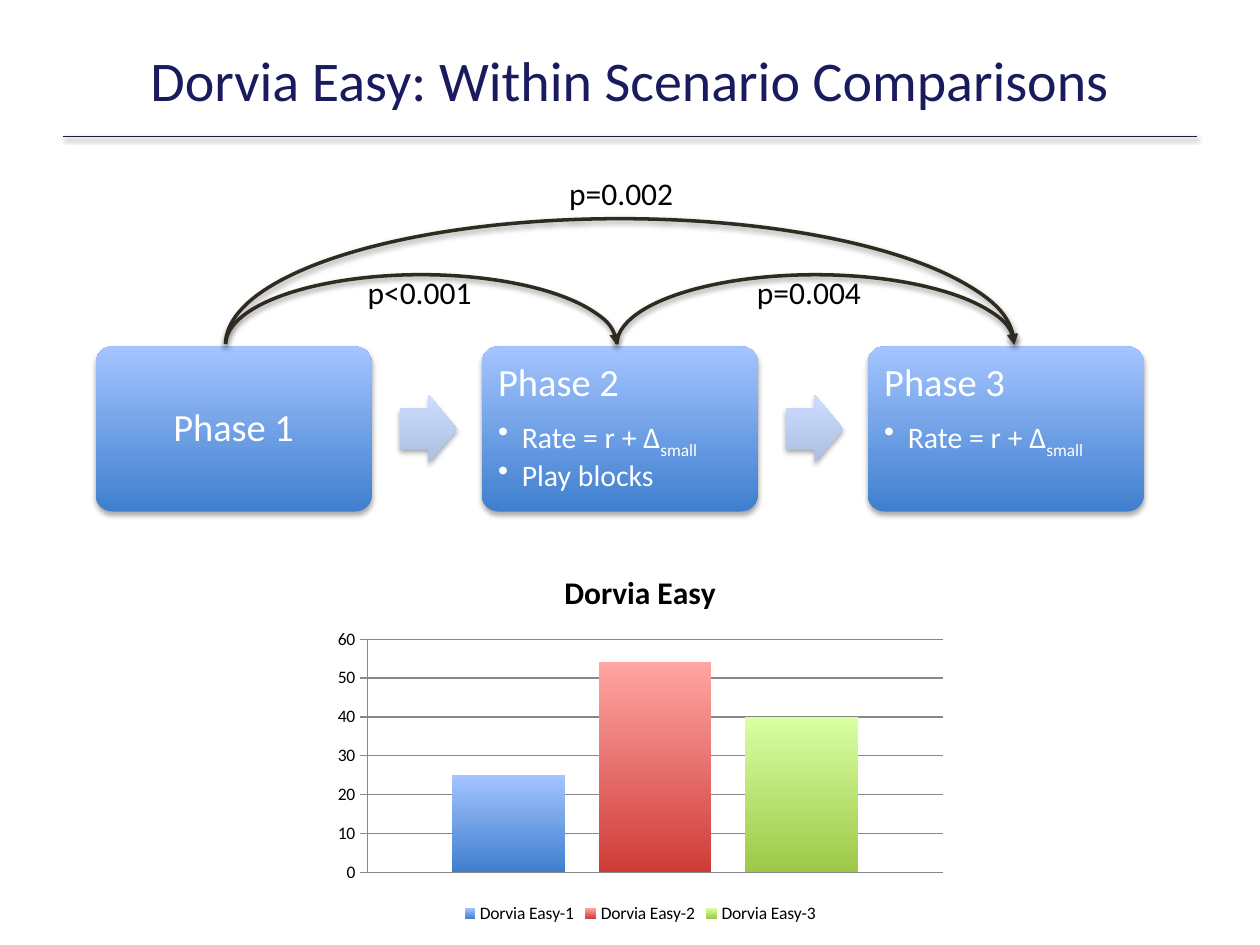
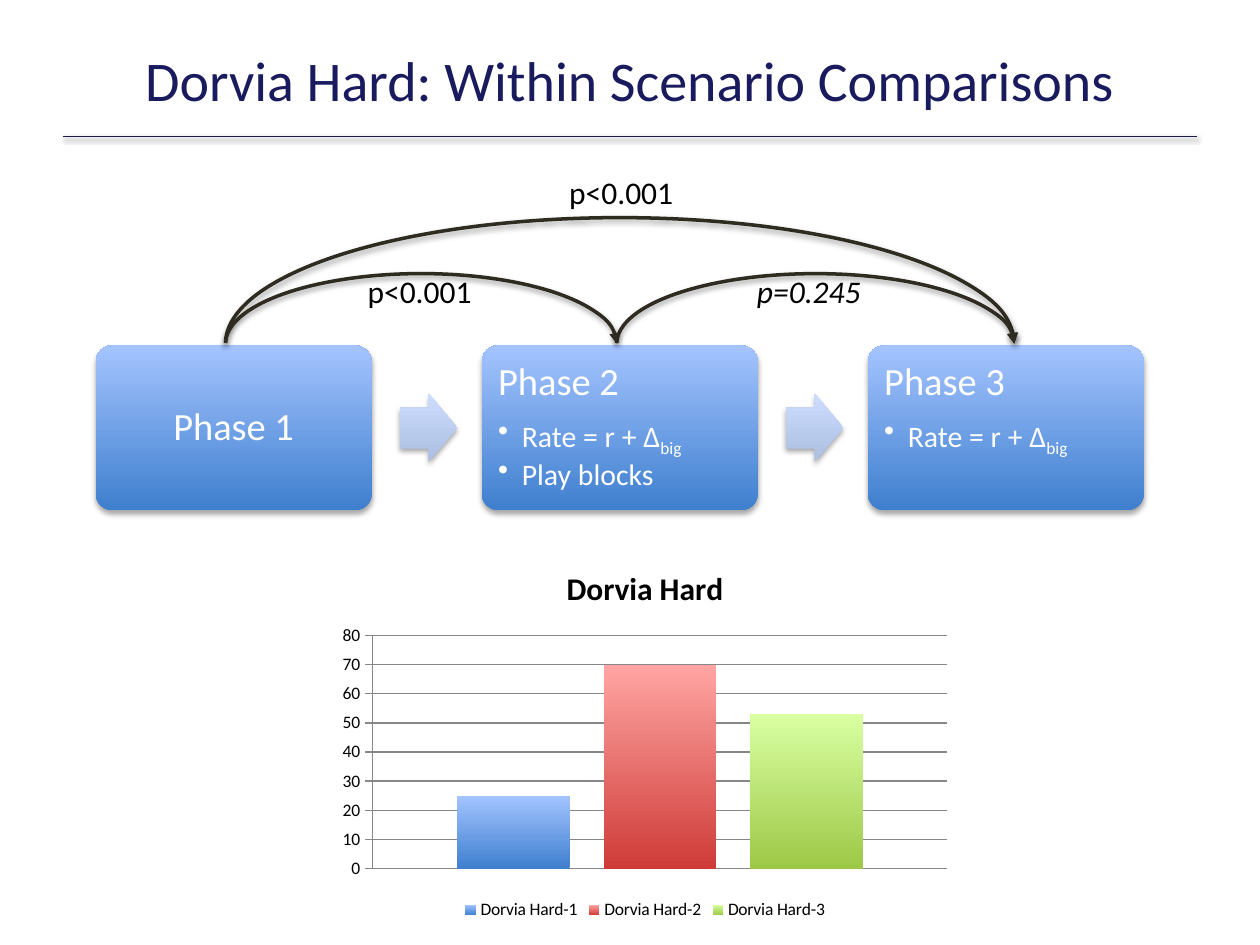
import pptx
import pptx.chart.data
import pptx.dml.color
import pptx.enum.chart
import pptx.enum.shapes
import pptx.enum.text
import pptx.oxml.ns
import pptx.util
from lxml import etree

Pt = pptx.util.Pt
RGBColor = pptx.dml.color.RGBColor
Shapes = pptx.enum.shapes.MSO_SHAPE
Anchor = pptx.enum.text.MSO_ANCHOR
Align = pptx.enum.text.PP_ALIGN
qn = pptx.oxml.ns.qn

FONT = "Calibri"
NAVY = RGBColor(0x19, 0x1B, 0x5E)
RULE = RGBColor(0x1A, 0x1C, 0x47)
INK = RGBColor(0x2F, 0x2B, 0x20)
BLACK = RGBColor(0, 0, 0)
WHITE = RGBColor(255, 255, 255)
GREY = RGBColor(0x87, 0x87, 0x87)
BLUE = (RGBColor(0x3F, 0x7F, 0xCE), RGBColor(0xA4, 0xC4, 0xFF))
PALE = (RGBColor(0xAD, 0xBF, 0xE1), RGBColor(0xCC, 0xDD, 0xFF))
RED = (RGBColor(0xCF, 0x3C, 0x38), RGBColor(0xFF, 0xA5, 0xA3))
GREEN = (RGBColor(0x9D, 0xC8, 0x47), RGBColor(0xD9, 0xFF, 0xA2))

PHASE_SIZE = (157.7, 94.3)
PHASE_STEP = 220.6
STEP_ARROW = (33, 39)
ARC_FEET = (74.2, 297.7, 524.9)
ARCS = ((0, 2, 144, 263.5, -102.2), (1, 2, 80, 370.8, -45.4), (0, 1, 80, 148.3, -45.4))


def add_text(para, text, size=18, color=BLACK, italic=None, baseline=None):
    """Append one formatted span to a paragraph."""
    span = para.add_run()
    span.text = text
    span.font.name = FONT
    span.font.size = Pt(size)
    span.font.color.rgb = color
    span.font.italic = italic
    if baseline is not None:
        span._r.get_or_add_rPr().set("baseline", str(baseline * 1000))


def add_shadow(shape, distance=1.8, opacity=35):
    """Give a shape a soft shadow straight below it."""
    effects = etree.SubElement(shape._element.spPr, qn("a:effectLst"))
    shadow = etree.SubElement(effects, qn("a:outerShdw"), blurRad=str(Pt(3.1)),
                              dist=str(Pt(distance)), dir="5400000", rotWithShape="0")
    color = etree.SubElement(shadow, qn("a:srgbClr"), val="000000")
    etree.SubElement(color, qn("a:alpha"), val=str(opacity * 1000))


def fill_gradient(fill, colors):
    """Fill from the first colour at the bottom to the second at the top."""
    fill.gradient()
    fill.gradient_angle = 90
    for stop, color, position in zip(fill.gradient_stops, colors, (0, 1)):
        stop.color.rgb = color
        stop.position = position


def add_block(page, kind, left, top, size, colors, adjustments):
    """Add a gradient preset shape with a shadow and no outline."""
    block = page.shapes.add_shape(kind, Pt(left), Pt(top), Pt(size[0]), Pt(size[1]))
    for index, value in enumerate(adjustments):
        block.adjustments[index] = value
    fill_gradient(block.fill, colors)
    block.line.fill.background()
    add_shadow(block)
    return block


def add_title(page, text):
    """Place the slide title and the rule below it."""
    rule = page.shapes.add_connector(pptx.enum.shapes.MSO_CONNECTOR.STRAIGHT,
                                     Pt(36), Pt(78), Pt(684), Pt(78))
    rule.line.color.rgb = RULE
    rule.line.width = Pt(0.25)
    add_shadow(rule, 1.6, 38)
    title = page.shapes.title
    title.left, title.top, title.width, title.height = Pt(36), Pt(12.2), Pt(648), Pt(66)
    title.text_frame.vertical_anchor = Anchor.MIDDLE
    para = title.text_frame.paragraphs[0]
    para.alignment = Align.CENTER
    add_text(para, text, size=32, color=NAVY)


def add_bullet(frame, text, subscript=None):
    """Add a bulleted line, optionally ending in a subscript."""
    para = frame.add_paragraph()
    para.level = 1
    para.alignment = Align.LEFT
    properties = para._p.get_or_add_pPr()
    properties.set("marL", str(Pt(13.5)))
    properties.set("indent", str(-Pt(13.5)))
    etree.SubElement(properties, qn("a:buChar"), char="•")
    para.line_spacing = 0.9
    para.space_after = Pt(2.6)
    add_text(para, text, size=17, color=WHITE)
    if subscript:
        add_text(para, subscript, size=17, color=WHITE, baseline=-25)


def add_phase(page, left, top, heading, bullets):
    """Draw one phase; a phase without bullets has a centred heading."""
    block = add_block(page, Shapes.ROUNDED_RECTANGLE, left, top, PHASE_SIZE, BLUE, [0.1])
    frame = block.text_frame
    frame.word_wrap = True
    frame.margin_left = frame.margin_right = Pt(6.6)
    frame.margin_top = frame.margin_bottom = Pt(6.6)
    frame.vertical_anchor = Anchor.TOP if bullets else Anchor.MIDDLE
    para = frame.paragraphs[0]
    para.alignment = Align.LEFT if bullets else Align.CENTER
    para.line_spacing = 0.9
    if bullets:
        para.space_after = Pt(8.5)
    add_text(para, heading, size=22, color=WHITE)
    for bullet in bullets:
        add_bullet(frame, *bullet)


def add_phases(page, left, top, delta):
    """Draw the three phases with an arrow in each gap."""
    rate = ("Rate = r + Δ", delta)
    bullet_lists = ([], [rate, ("Play blocks",)], [rate])
    for index, bullets in enumerate(bullet_lists):
        phase_left = left + index * PHASE_STEP
        if index:
            gap = PHASE_STEP - PHASE_SIZE[0]
            add_block(page, Shapes.RIGHT_ARROW, phase_left - gap + 16,
                      top + (PHASE_SIZE[1] - STEP_ARROW[1]) / 2, STEP_ARROW, PALE, [0.6, 0.5])
        add_phase(page, phase_left, top, f"Phase {index + 1}", bullets)


def add_comparisons(page, left, top, labels):
    """Draw labelled arcs between the tops of the phases."""
    for (start, end, height, label_left, label_top), (text, italic) in zip(ARCS, labels):
        width = ARC_FEET[end] - ARC_FEET[start]
        arc = page.shapes.add_shape(Shapes.ARC, Pt(left + ARC_FEET[start]),
                                    Pt(top - 1 - height / 2), Pt(width), Pt(height))
        arc.adjustments[0], arc.adjustments[1] = 108.1, 0
        arc.fill.background()
        arc.line.color.rgb = INK
        arc.line.width = Pt(2)
        etree.SubElement(arc.line._get_or_add_ln(), qn("a:tailEnd"), type="triangle")
        add_shadow(arc, 1.6, 38)
        box = page.shapes.add_textbox(Pt(left + label_left), Pt(top + label_top), Pt(75), Pt(51))
        box.text_frame.word_wrap = False
        add_text(box.text_frame.paragraphs[0], text, italic=italic)


def add_result_chart(page, left, top, name, values, maximum):
    """Add the column chart with one series per phase."""
    data = pptx.chart.data.CategoryChartData()
    data.categories = ["1"]
    for number, value in enumerate(values, 1):
        data.add_series(f"{name}-{number}", [value])
    chart = page.shapes.add_chart(pptx.enum.chart.XL_CHART_TYPE.COLUMN_CLUSTERED,
                                  Pt(left), Pt(top), Pt(360), Pt(216), data).chart
    chart.font.name = FONT
    chart.font.size = Pt(10)
    chart.font.color.rgb = BLACK
    chart.has_title = True
    para = chart.chart_title.text_frame.paragraphs[0]
    add_text(para, name)
    para.runs[0].font.bold = True
    chart.has_legend = True
    chart.legend.position = pptx.enum.chart.XL_LEGEND_POSITION.BOTTOM
    chart.legend.include_in_layout = False
    chart.category_axis.visible = False
    axis = chart.value_axis
    axis.minimum_scale, axis.maximum_scale, axis.major_unit = 0, maximum, 10
    axis.major_tick_mark = pptx.enum.chart.XL_TICK_MARK.OUTSIDE
    axis.format.line.color.rgb = GREY
    axis.major_gridlines.format.line.color.rgb = GREY
    plot = chart.plots[0]
    plot.gap_width = 150
    plot.overlap = -30
    plot.vary_by_categories = False
    for series, colors in zip(plot.series, (BLUE, RED, GREEN)):
        fill_gradient(series.format.fill, colors)


def add_scenario(deck, name, delta, labels, values, maximum, diagram_top, chart_at):
    """Build one slide comparing the phases of a scenario."""
    page = deck.slides.add_slide(deck.slide_layouts[5])
    add_title(page, f"{name}: Within Scenario Comparisons")
    add_phases(page, 54.7, diagram_top, delta)
    add_comparisons(page, 54.7, diagram_top, labels)
    add_result_chart(page, *chart_at, name, values, maximum)


def main():
    """Build and save the deck."""
    deck = pptx.Presentation()
    deck.slide_width, deck.slide_height = Pt(720), Pt(540)
    add_scenario(deck, "Dorvia Easy", "small",
                 [("p=0.002", None), ("p=0.004", None), ("p<0.001", None)],
                 [25, 54, 40], 60, 198, (185.8, 314.6))
    add_scenario(deck, "Dorvia Hard", "big",
                 [("p<0.001", None), ("p=0.245", True), ("p<0.001", None)],
                 [25, 70, 53], 80, 197.4, (188.6, 312.5))
    deck.save("out.pptx")


if __name__ == "__main__":
    main()
